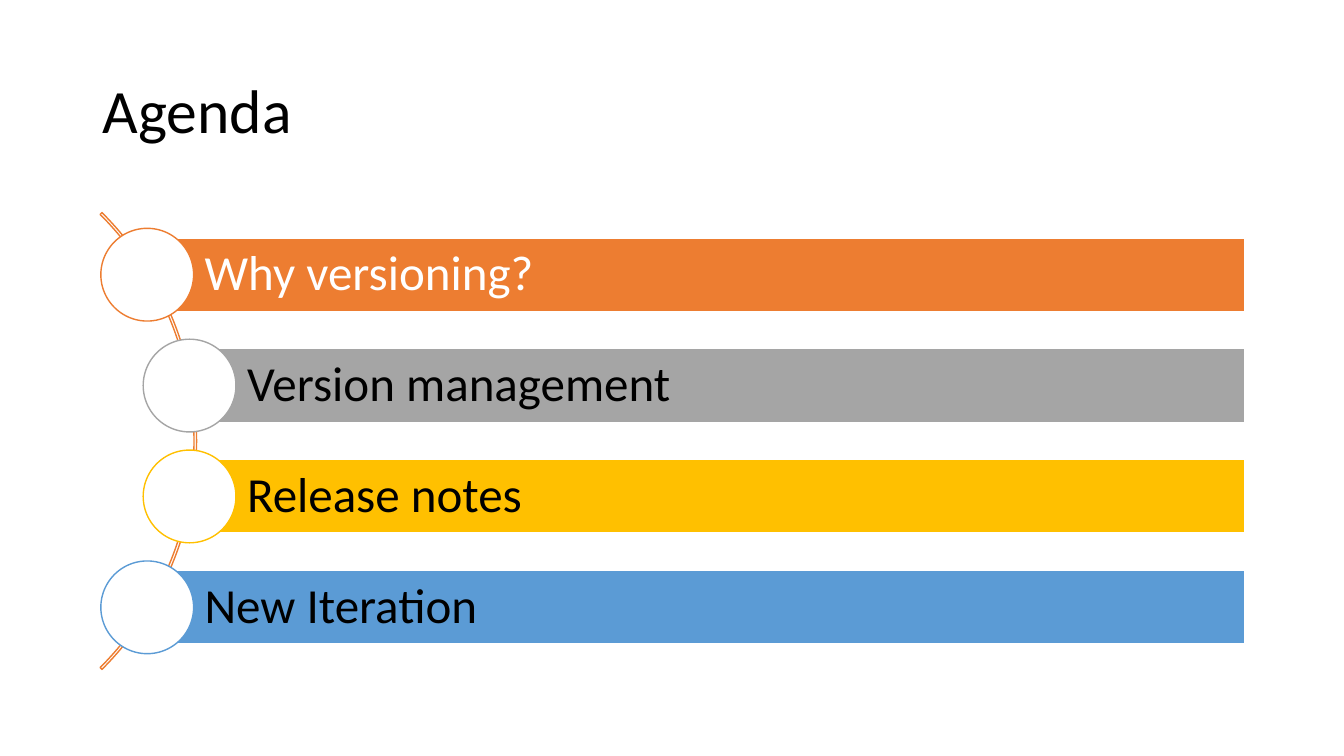
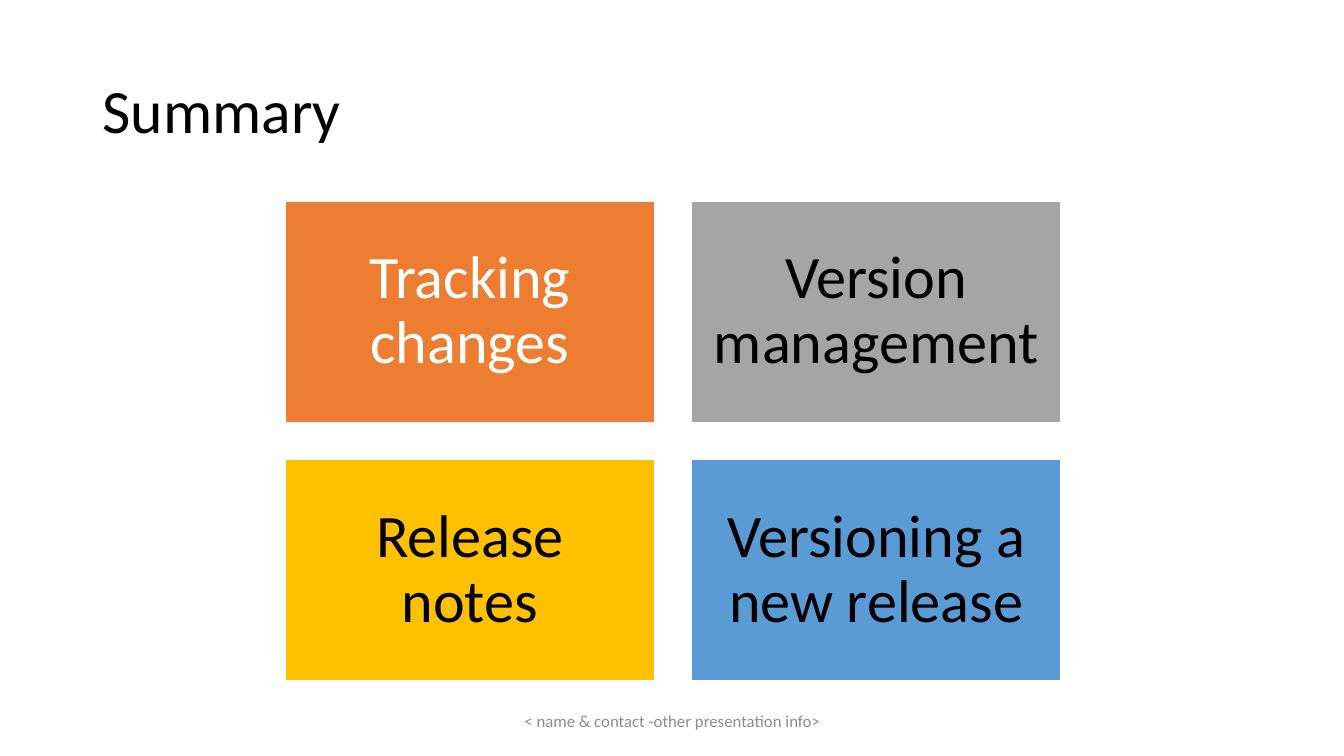
from pptx import Presentation
from pptx.dml.color import RGBColor
from pptx.enum.shapes import MSO_SHAPE
from pptx.enum.text import MSO_ANCHOR, PP_ALIGN
from pptx.util import Inches, Pt

ORANGE, GRAY, YELLOW, BLUE = "ED7D31", "A5A5A5", "FFC000", "5B9BD5"
WHITE, BLACK, FOOTER_GRAY = "FFFFFF", "000000", "8C8C8C"
TOPIC_STYLES = [(ORANGE, WHITE), (GRAY, BLACK), (YELLOW, BLACK), (BLUE, BLACK)]


def rgb(value):
    return RGBColor.from_string(value)


class Deck:
    font = "Calibri"

    def __init__(self):
        self.presentation = Presentation()
        self.presentation.slide_width = Inches(13.33)
        self.presentation.slide_height = Inches(7.5)
        self.slide = None

    def new_slide(self, title):
        blank = self.presentation.slide_layouts[6]
        self.slide = self.presentation.slides.add_slide(blank)
        self.text_box(title, (0.92, 0.4, 11.5, 1.45), 44, spacing=0.9)

    def set_text(self, shape, text, size, color, align, spacing, insets):
        frame = shape.text_frame
        frame.text = text
        frame.word_wrap = True
        frame.vertical_anchor = MSO_ANCHOR.MIDDLE
        (frame.margin_left, frame.margin_top,
         frame.margin_right, frame.margin_bottom) = map(Inches, insets)
        paragraph = frame.paragraphs[0]
        paragraph.alignment = align
        paragraph.line_spacing = spacing
        font = paragraph.runs[0].font
        font.name = self.font
        font.size = Pt(size)
        font.color.rgb = rgb(color)

    def text_box(self, text, box, size, color=BLACK, align=PP_ALIGN.LEFT, spacing=1.0):
        shape = self.slide.shapes.add_textbox(*map(Inches, box))
        self.set_text(shape, text, size, color, align, spacing, (0.1, 0.05, 0.1, 0.05))

    def shape(self, kind, box, line, fill=None):
        shape = self.slide.shapes.add_shape(kind, *map(Inches, box))
        shape.shadow.inherit = False
        shape.line.color.rgb = rgb(line)
        shape.line.width = Pt(1)
        if fill:
            shape.fill.solid()
            shape.fill.fore_color.rgb = rgb(fill)
        else:
            shape.fill.background()
        return shape

    def panel(self, text, box, style, size, align, insets):
        fill, color = style
        panel = self.shape(MSO_SHAPE.RECTANGLE, box, WHITE, fill)
        self.set_text(panel, text, size, color, align, 0.9, insets)

    def arc(self, box, line, start, end, thickness):
        arc = self.shape(MSO_SHAPE.BLOCK_ARC, box, line)
        for index, value in enumerate((start, end, thickness)):
            arc.adjustments[index] = value

    def agenda_item(self, text, left, top, style):
        right_edge, bar_height, diameter = 12.35, 0.73, 0.92
        self.panel(text, (left, top, right_edge - left, bar_height), style,
                   35, PP_ALIGN.LEFT, (0.58, 0.1, 0.1, 0.1))
        marker = (left - 0.45, top + (bar_height - diameter) / 2, diameter, diameter)
        self.shape(MSO_SHAPE.OVAL, marker, style[0], WHITE)

    def footer(self, text):
        self.text_box(text, (4.42, 6.95, 4.5, 0.4), 12, FOOTER_GRAY, PP_ALIGN.CENTER)


def build_agenda(deck):
    deck.new_slide("Agenda")
    deck.arc((-4.46, 1.17, 6.41, 6.41), ORANGE, 189, 27, 0.004)
    topics = [("Why versioning?", 1.45), ("Version management", 1.87),
              ("Release notes", 1.87), ("New Iteration", 1.45)]
    for row, ((topic, left), style) in enumerate(zip(topics, TOPIC_STYLES)):
        deck.agenda_item(topic, left, 2.36 + 1.1 * row, style)


def build_summary(deck):
    deck.new_slide("Summary")
    width, height, gap = 3.66, 2.19, 0.37
    takeaways = ["Tracking changes", "Version management",
                 "Release notes", "Versioning a new release"]
    for index, (takeaway, style) in enumerate(zip(takeaways, TOPIC_STYLES)):
        row, column = divmod(index, 2)
        box = (2.83 + column * (width + gap), 2 + row * (height + gap), width, height)
        deck.panel(takeaway, box, style, 43, PP_ALIGN.CENTER, (0.18,) * 4)
    deck.footer("< name & contact -other presentation info>")


def main():
    deck = Deck()
    build_agenda(deck)
    build_summary(deck)
    deck.presentation.save("out.pptx")


if __name__ == "__main__":
    main()
